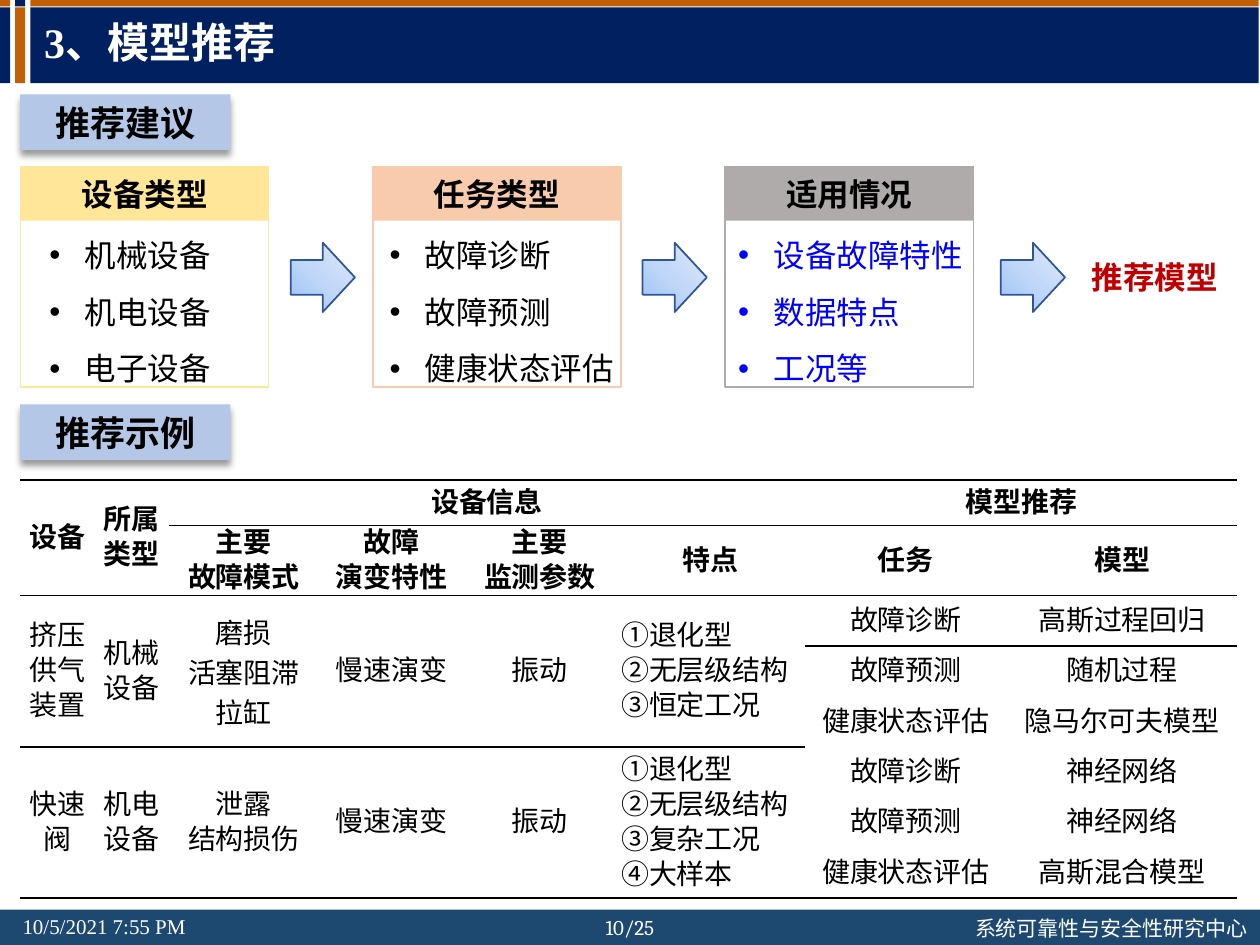
from copy import deepcopy

from lxml import etree
from pptx import Presentation
from pptx import util as u
from pptx.dml import color as dml
from pptx.enum import shapes, text
from pptx.oxml import ns

Pt = u.Pt
COLORS = {
    "white": "FFFFFF", "black": "000000", "navy": "002060", "orange": "C16007",
    "footer": "1D4971", "tag": "B4C7E7", "yellow": "FFE699", "peach": "F8CBAD",
    "gray": "AFABAB", "blue": "0000FF", "red": "C00000", "outline": "2F5597",
}
ARROW_STOPS = [(0, "9AC3F5"), (0.5, "C2D8F8"), (1, "E1EBFB")]
CENTER, LEFT = text.PP_ALIGN.CENTER, text.PP_ALIGN.LEFT
MIDDLE, TOP = text.MSO_ANCHOR.MIDDLE, text.MSO_ANCHOR.TOP
INFO_ROWS = [
    ["设备", "所属\n类型", "设备信息", None, None, None, "模型推荐", None],
    [None, None, "主要\n故障模式", "故障\n演变特性", "主要\n监测参数", "特点", "任务", "模型"],
    ["挤压供气装置", "机械\n设备", "磨损\n活塞阻滞\n拉缸", "慢速演变", "振动",
     "①退化型\n②无层级结构\n③恒定工况", "故障诊断", "高斯过程回归"],
    [None] * 6 + ["故障预测", "随机过程"],
    [None] * 6 + ["健康状态评估", "隐马尔可夫模型"],
    ["快速阀", "机电\n设备", "泄露\n结构损伤", "慢速演变", "振动",
     "①退化型\n②无层级结构\n③复杂工况\n④大样本", "故障诊断", "神经网络"],
    [None] * 6 + ["故障预测", "神经网络"],
    [None] * 6 + ["健康状态评估", "高斯混合模型"],
]
COLUMN_WIDTHS = [42.5, 42.5, 85.7, 82.8, 87.1, 108, 115.2, 131.8]
ROW_HEIGHTS = [26, 40] + [28.8] * 6


def rgb(name):
    return dml.RGBColor.from_string(COLORS[name])


def add_xml(parent, tag, **attributes):
    return etree.SubElement(parent, ns.qn(tag), attributes)


def write(frame, content, size, color="black", bold=False, font="Times New Roman",
          bullet=False, **format_values):
    """Fill a text frame, one paragraph for each line of content."""
    frame.text = content
    for para in frame.paragraphs:
        if bullet:
            props = para._p.get_or_add_pPr()
            props.set("marL", str(Pt(22.5)))
            props.set("indent", str(-Pt(20.25)))
            add_xml(props, "a:buFont", typeface="Arial")
            add_xml(props, "a:buChar", char="•")
        for name, value in format_values.items():
            setattr(para, name, value)
        for span in para.runs:
            values = {"size": Pt(size), "bold": bold, "name": font}
            for name, value in values.items():
                setattr(span.font, name, value)
            span.font.color.rgb = rgb(color)
            add_xml(span._r.get_or_add_rPr(), "a:ea", typeface="Noto Sans CJK SC")


def add_block(page, box, fill, line=None, kind=shapes.MSO_SHAPE.RECTANGLE):
    block = page.shapes.add_shape(kind, *map(Pt, box))
    block.shadow.inherit = False
    if fill:
        block.fill.solid()
        block.fill.fore_color.rgb = rgb(fill)
    if line:
        block.line.color.rgb = rgb(line)
        block.line.width = Pt(1)
    else:
        block.line.fill.background()
    block.text_frame.vertical_anchor = MIDDLE
    return block


def add_label(page, box, content, size, wrap=False, **style):
    label = page.shapes.add_textbox(*map(Pt, box))
    label.text_frame.word_wrap = wrap
    write(label.text_frame, content, size, **style)


def place(page, holder, box, anchor):
    """Move a placeholder to a box, in front of what is already drawn."""
    page.shapes._spTree.append(holder._element)
    for name, value in zip(("left", "top", "width", "height"), box):
        setattr(holder, name, Pt(value))
    holder.text_frame.auto_size = text.MSO_AUTO_SIZE.NONE
    holder.text_frame.vertical_anchor = anchor


def add_header(page, box):
    left, top, width, height = box
    add_block(page, box, "white")
    # Each column has a thin cap above a tall bar
    columns = [(17.3, width - 18, "orange", "navy"), (8.6, 5.8, "navy", "orange"),
               (0, 5.8, "orange", "navy")]
    for offset, bar_width, cap, bar in columns:
        add_block(page, (left + offset, top, bar_width, 3.6), cap)
        add_block(page, (left + offset, top + 4.3, bar_width, 43.2), bar)
    title = page.shapes.title
    place(page, title, (left + 18, top + 4.3, 638.6, 43.2), MIDDLE)
    write(title.text_frame, "3、模型推荐", 24, "white", True,
          alignment=LEFT, line_spacing=0.9)


def add_footer(page, box):
    left, top, width, height = box
    add_block(page, box, "footer")
    add_label(page, (left + 5.8, top - 1.4, 117.4, 21.6), "10/5/2021 7:55 PM", 12, color="white")
    add_label(page, (left + 550.1, top, 172.8, 21.6), "系统可靠性与安全性研究中心", 12, color="white")
    add_label(page, (left + 334.8, top - 0.7, 50.4, 21.6), "10/25", 12, wrap=True,
              color="white", font="Cambria", alignment=CENTER)


def add_tag(page, box, content):
    tag = add_block(page, box, "tag")
    effects = tag._element.spPr.find(ns.qn("a:effectLst"))
    shadow = add_xml(effects, "a:outerShdw", blurRad=str(Pt(4)), dist=str(Pt(3)),
                     dir="5400000", algn="t", rotWithShape="0")
    shade = add_xml(shadow, "a:srgbClr", val=COLORS["black"])
    add_xml(shade, "a:alpha", val="40000")
    write(tag.text_frame, content, 20, bold=True, alignment=CENTER)


def add_panel(page, box, holder, heading, items, color, item_color, list_offset,
              list_width, alignment):
    left, top, width, height = box
    add_block(page, box, "white", color)
    caption = add_block(page, (left, top, width, 31), color)
    write(caption.text_frame, heading, 18, bold=True, alignment=CENTER)
    place(page, holder, (left + list_offset, top + 25.2, list_width, 101.5), TOP)
    write(holder.text_frame, items, 18, item_color, bullet=True, alignment=alignment,
          line_spacing=1.5, space_before=Pt(0))


def add_arrow(page, box):
    arrow = add_block(page, box, None, "outline", shapes.MSO_SHAPE.RIGHT_ARROW)
    arrow.fill.gradient()
    arrow.fill.gradient_angle = 45
    first = arrow.fill.gradient_stops[0]._gs
    first.addnext(deepcopy(first))
    for stop, (position, shade) in zip(arrow.fill.gradient_stops, ARROW_STOPS):
        stop.position = position
        stop.color.rgb = dml.RGBColor.from_string(shade)


def has_rule(row, column):
    return row in (0, 2, len(INFO_ROWS)) or (row == 1 and column >= 2)


def format_cell(cell, row, column):
    for name, inset in {"left": 2.9, "right": 2.9, "top": 0, "bottom": 0}.items():
        setattr(cell, f"margin_{name}", Pt(inset))
    cell.vertical_anchor = MIDDLE
    height = cell.span_height if cell.is_merge_origin else 1
    props = cell._tc.get_or_add_tcPr()
    for tag, edge in (("a:lnT", row), ("a:lnB", row + height)):
        if has_rule(edge, column):
            line = add_xml(props, tag, w=str(Pt(1)))
            add_xml(add_xml(line, "a:solidFill"), "a:srgbClr", val=COLORS["black"])
    cell.fill.solid()
    cell.fill.fore_color.rgb = rgb("white")


def add_info_table(page, box):
    frame = page.shapes.add_table(len(ROW_HEIGHTS), len(COLUMN_WIDTHS), *map(Pt, box))
    table = frame.table
    # Plain style without grid
    style = table._tbl.tblPr.find(ns.qn("a:tableStyleId"))
    style.text = "{2D5ABB26-0587-4C30-8999-92F81FD0307C}"
    for column, width in zip(table.columns, COLUMN_WIDTHS):
        column.width = Pt(width)
    for row, height in zip(table.rows, ROW_HEIGHTS):
        row.height = Pt(height)
    merges = [(0, 0, 1, 0), (0, 1, 1, 1), (0, 2, 0, 5), (0, 6, 0, 7)]
    merges += [(row, column, row + 2, column) for row in (2, 5) for column in range(6)]
    for top, left, bottom, right in merges:
        table.cell(top, left).merge(table.cell(bottom, right))
    for row, values in enumerate(INFO_ROWS):
        for column, value in enumerate(values):
            cell = table.cell(row, column)
            format_cell(cell, row, column)
            if value:
                spacing = 1.0 if value.startswith("磨损") else Pt(20)
                write(cell.text_frame, value, 16, bold=row < 2, line_spacing=spacing,
                      alignment=LEFT if value.startswith("①") else CENTER)


def main():
    deck = Presentation()
    deck.slide_width, deck.slide_height = Pt(720), Pt(540)
    page = deck.slides.add_slide(deck.slide_layouts[4])
    holders = [holder for holder in page.placeholders if holder.placeholder_format.idx > 0]
    spare = holders.pop()._element
    spare.getparent().remove(spare)

    add_header(page, (0, 0, 720, 67))
    add_footer(page, (0, 519.8, 720, 20.2))
    add_tag(page, (11.5, 54, 120.2, 31.7), "推荐建议")
    add_tag(page, (11.5, 231.1, 120.2, 31.7), "推荐示例")

    # Recommendation flow
    panels = [
        ("设备类型", "机械设备\n机电设备\n电子设备", "yellow", "black", -9.4, 141.8, CENTER),
        ("任务类型", "故障诊断\n故障预测\n健康状态评估", "peach", "black", 0, 152.6, LEFT),
        ("适用情况", "设备故障特性\n数据特点\n工况等", "gray", "blue", -2.2, 149, LEFT),
    ]
    arrow_lefts = [166.1, 367.2, 571.9]
    for index, panel in enumerate(panels):
        add_panel(page, (11.7 + 201.4 * index, 95.2, 141.8, 126.2), holders[index], *panel)
        add_arrow(page, (arrow_lefts[index], 138.7, 36.7, 39.6))
    add_label(page, (613.4, 144, 92.9, 28.8), "推荐模型", 18, wrap=True,
              color="red", bold=True, alignment=CENTER)

    add_info_table(page, (11.5, 274.3, sum(COLUMN_WIDTHS), sum(ROW_HEIGHTS)))
    deck.save("out.pptx")


if __name__ == "__main__":
    main()
